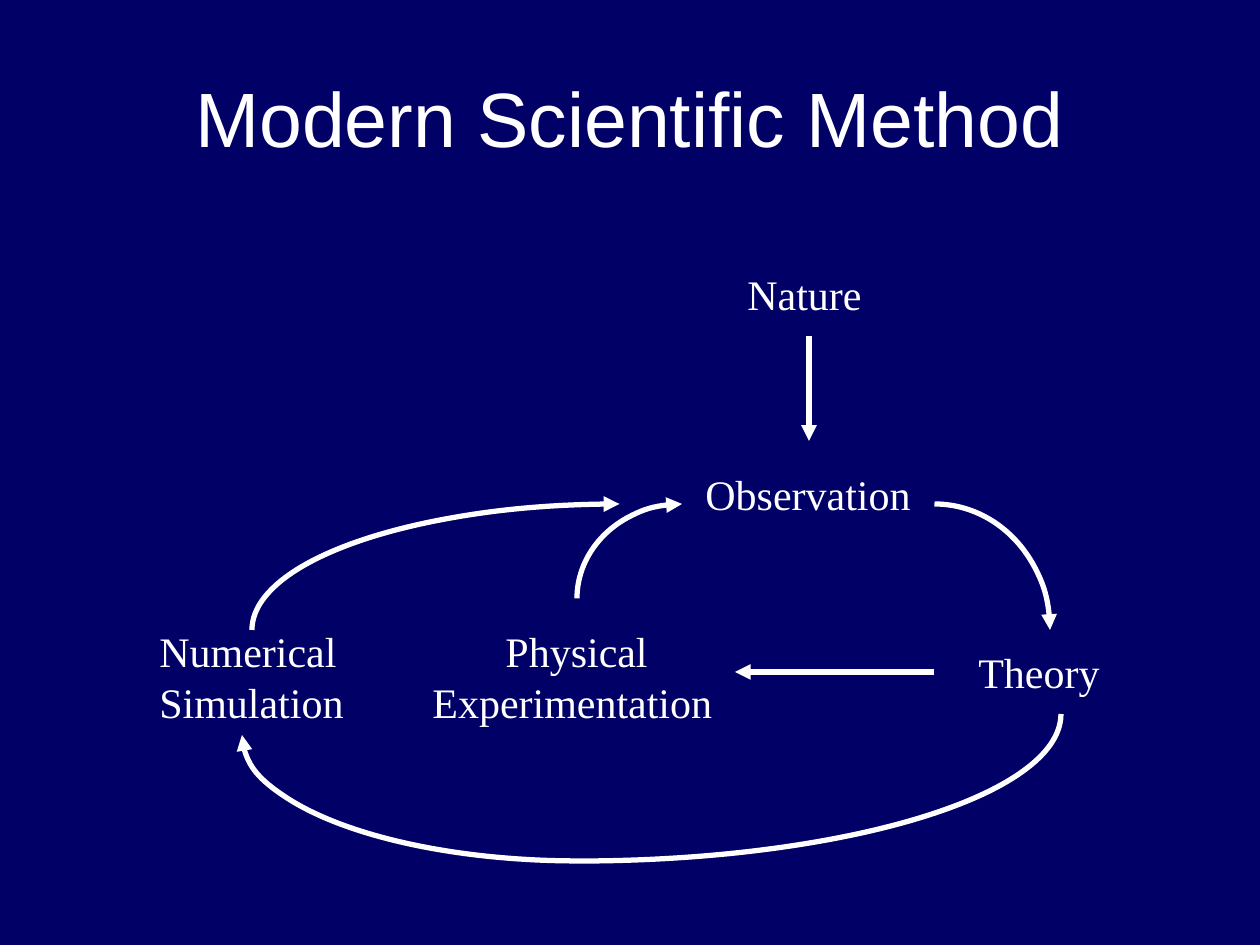
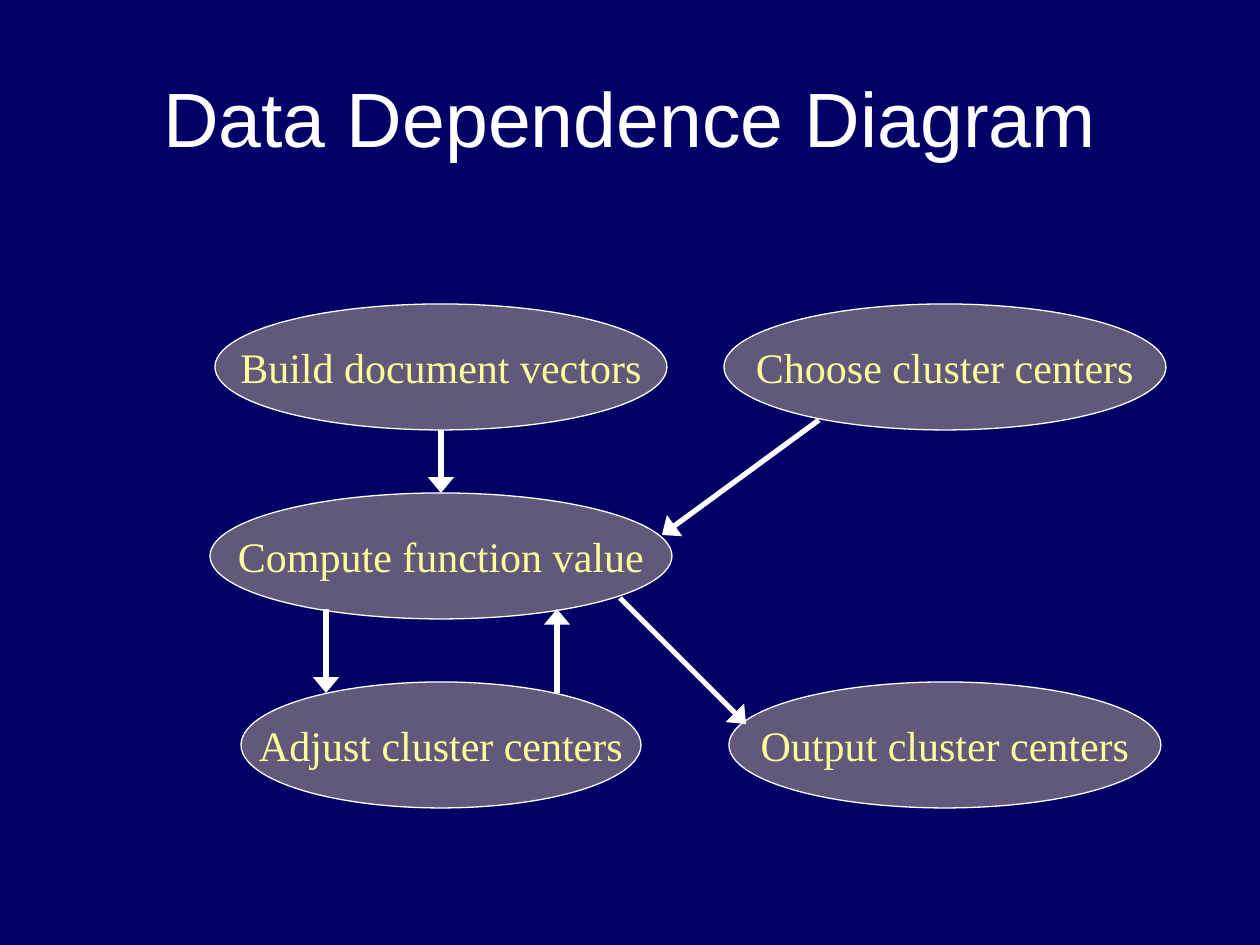
from lxml.etree import SubElement
from pptx import Presentation
from pptx.dml.color import RGBColor
from pptx.enum.shapes import MSO_CONNECTOR, MSO_SHAPE
from pptx.enum.text import MSO_ANCHOR, PP_ALIGN
from pptx.oxml.ns import qn
from pptx.util import Emu, Pt

# Shared look
NAVY = RGBColor(0x00, 0x00, 0x66)
WHITE = RGBColor(0xFF, 0xFF, 0xFF)
MAUVE = RGBColor(0x60, 0x59, 0x7B)
YELLOW = RGBColor(0xFF, 0xFF, 0x99)
HEAD_FONT, BODY_FONT = "Arial", "Times New Roman"
PX = 914400 // 126

# Slide 1: the method cycle
METHOD_TITLE = "Modern Scientific Method"
STAGES = [  # lines, left, top, width, height, first-line indent
    (["Nature"], 735, 262, 144, 63, 0),
    (["Observation"], 693, 462, 236, 63, 0),
    (["Theory"], 966, 640, 151, 63, 0),
    (["Physical", "Experimentation"], 420, 619, 310, 113, 73),
    (["Numerical", "Simulation"], 147, 619, 214, 113, 0),
]
METHOD_ARROWS = [(809, 336, 809, 441), (934, 672, 735, 672)]
ARCS = [  # ellipse left, top, width, height, start angle, arrowhead
    (819, 504, 231, 252, 270, True),    # observation to theory
    (577, 504, 210, 189, 180, True),    # experiment to observation
    (95, 567, 966, 294, 0, False),      # theory to simulation, right part
    (242, 609, 672, 252, 90, True),     # theory to simulation, left part
    (252, 504, 735, 252, 180, True),    # simulation to observation
]

# Slide 2: the dependence graph
GRAPH_TITLE = "Data Dependence Diagram"
COLUMN_CENTERS = (441, 945)
FIRST_ROW, ROW_STEP, TASK_HEIGHT = 304, 189, 126
TASKS = [  # label, column, row, width
    ("Build document vectors", 0, 0, 452),
    ("Compute function value", 0, 1, 462),
    ("Choose cluster centers", 1, 0, 442),
    ("Adjust cluster centers", 0, 2, 400),
    ("Output cluster centers", 1, 2, 432),
]
GRAPH_ARROWS = [
    (441, 430, 441, 493),
    (326, 609, 326, 693),
    (557, 693, 557, 609),
    (620, 598, 746, 724),
    (819, 420, 662, 535),
]


def px(*lengths):
    return [Emu(n * PX) for n in lengths]


def style(p, font, size, color, spacing, align=PP_ALIGN.LEFT):
    p.alignment = align
    p.line_spacing = Pt(spacing)
    p.space_before = Pt(0)
    p.font.name, p.font.size, p.font.color.rgb = font, Pt(size), color


def style_body(p, color, align=PP_ALIGN.LEFT):
    style(p, BODY_FONT, 24, color, 29, align)


def draw_line(shape, head_width=None):
    """White 3 pt stroke, with an arrowhead at its end if a width is given."""
    shape.line.color.rgb = WHITE
    shape.line.width = Pt(3)
    if head_width:
        ln = shape.line._get_or_add_ln()
        SubElement(ln, qn("a:tailEnd"), type="triangle", w=head_width, len="med")


def add_arrow(s, ends, head_width):
    c = s.shapes.add_connector(MSO_CONNECTOR.STRAIGHT, *px(*ends))
    draw_line(c, head_width)
    SubElement(c._element.spPr, qn("a:effectLst"))


def add_arc(s, left, top, width, height, start, has_head):
    arc = s.shapes.add_shape(MSO_SHAPE.ARC, *px(left, top, width, height))
    arc.shadow.inherit = False
    arc.fill.background()
    # One quarter turn; an adjustment of 0.6 is one degree
    arc.adjustments[0] = start * 0.6
    arc.adjustments[1] = (start + 90) % 360 * 0.6
    draw_line(arc, "med" if has_head else None)


def add_stage(s, lines, left, top, width, height, indent):
    tf = s.shapes.add_textbox(*px(left, top, width, height)).text_frame
    tf.word_wrap = False
    tf.text = "\n".join(lines)
    for p in tf.paragraphs:
        style_body(p, WHITE)
    if indent:
        pPr = tf.paragraphs[0]._p.get_or_add_pPr()
        pPr.set("marL", str(indent * PX))
        pPr.set("indent", "0")


def add_task(s, label, column, row, width):
    left = COLUMN_CENTERS[column] - width // 2
    top = FIRST_ROW + row * ROW_STEP
    sp = s.shapes.add_shape(MSO_SHAPE.OVAL, *px(left, top, width, TASK_HEIGHT))
    sp.shadow.inherit = False
    sp.fill.solid()
    sp.fill.fore_color.rgb = MAUVE
    sp.line.color.rgb = WHITE
    sp.line.width = Pt(0.75)
    tf = sp.text_frame
    tf.word_wrap = False
    tf.vertical_anchor = MSO_ANCHOR.MIDDLE
    tf.text = label
    style_body(tf.paragraphs[0], YELLOW, PP_ALIGN.CENTER)


def add_slide(prs, title):
    s = prs.slides.add_slide(prs.slide_layouts[5])
    sp = s.shapes.title
    sp.left, sp.top, sp.width, sp.height = px(63, 37, 1134, 157)
    tf = sp.text_frame
    tf.vertical_anchor = MSO_ANCHOR.MIDDLE
    tf.text = title
    style(tf.paragraphs[0], HEAD_FONT, 44, WHITE, 54, PP_ALIGN.CENTER)
    return s


def main():
    prs = Presentation()
    prs.slide_width, prs.slide_height = px(1260, 945)
    fill = prs.slide_master.background.fill
    fill.solid()
    fill.fore_color.rgb = NAVY

    # Modern scientific method
    s = add_slide(prs, METHOD_TITLE)
    for stage in STAGES:
        add_stage(s, *stage)
    for ends in METHOD_ARROWS:
        add_arrow(s, ends, "med")
    for arc in ARCS:
        add_arc(s, *arc)

    # Data dependence diagram
    s = add_slide(prs, GRAPH_TITLE)
    for task in TASKS:
        add_task(s, *task)
    for ends in GRAPH_ARROWS:
        add_arrow(s, ends, "lg")

    prs.save("out.pptx")


if __name__ == "__main__":
    main()
